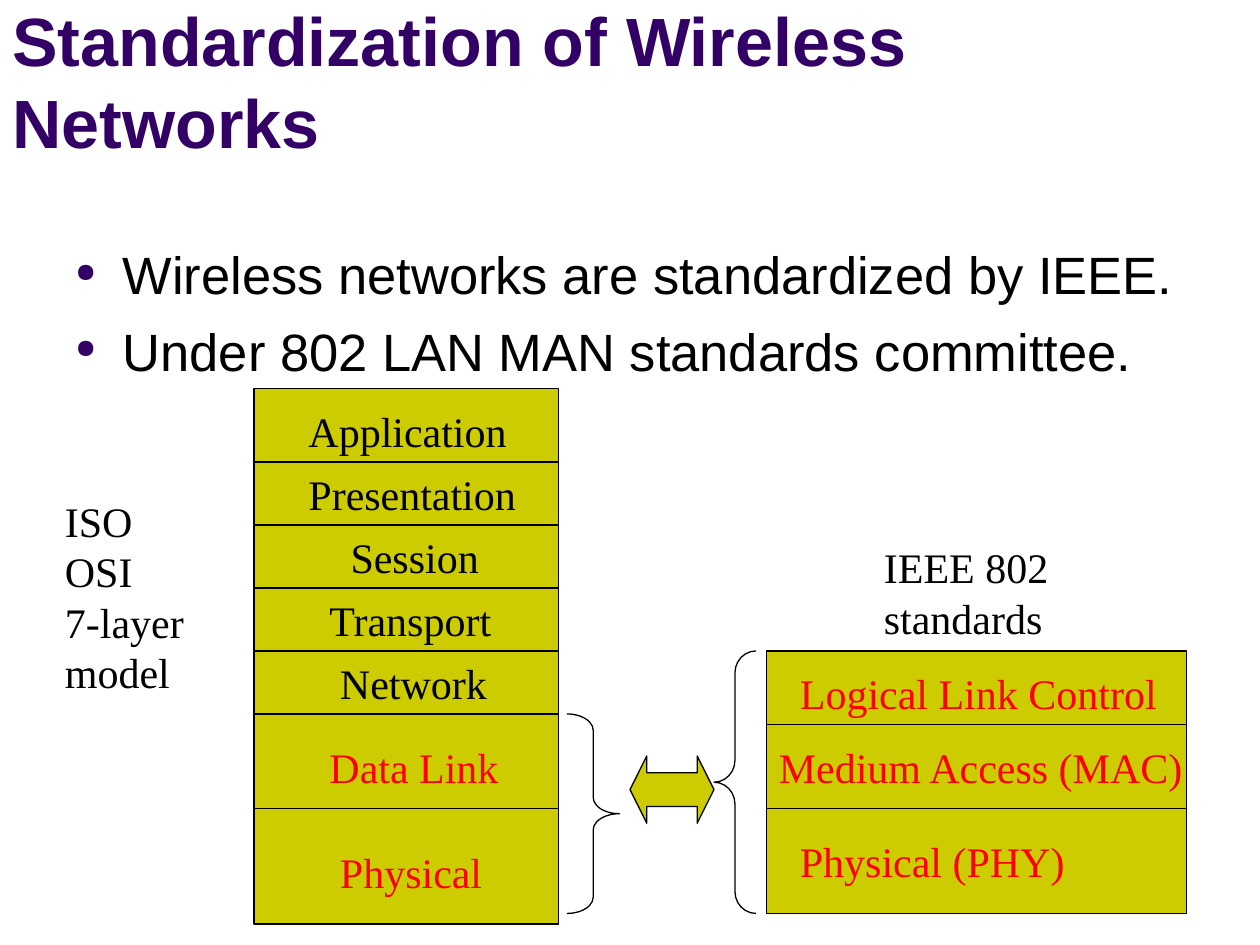
"""Build the slide that maps the seven OSI layers to the IEEE 802 standards."""
import pptx
import pptx.util
import pptx.dml.color
import pptx.enum.shapes
import pptx.enum.text
import pptx.oxml
import pptx.oxml.ns
from lxml import etree

PX = 7620
KIND = pptx.enum.shapes.MSO_SHAPE
SERIF, SANS = "Times New Roman", "Arial"
BLACK, RED, GOLD, PLUM = "000000", "FF0000", "CCCC00", "330066"


def color(code):
    return pptx.dml.color.RGBColor.from_string(code)


def write(box, lines, style, gap=0, bullet=False):
    frame = shapes.add_textbox(*[n * PX for n in box]).text_frame
    frame.word_wrap = True
    frame.auto_size = pptx.enum.text.MSO_AUTO_SIZE.NONE
    for i, line in enumerate(lines):
        para = frame.add_paragraph() if i else frame.paragraphs[0]
        para.space_before = pptx.util.Pt(gap if i else 0)
        if bullet:
            props = para._p.get_or_add_pPr()
            props.set("marL", str(45 * PX))
            props.set("indent", str(-45 * PX))
            hue = etree.SubElement(props, pptx.oxml.ns.qn("a:buClr"))
            etree.SubElement(hue, pptx.oxml.ns.qn("a:srgbClr"), val=PLUM)
            etree.SubElement(props, pptx.oxml.ns.qn("a:buSzPct"), val="50000")
            etree.SubElement(props, pptx.oxml.ns.qn("a:buChar"), char="●")
        run = para.add_run()
        run.text = line
        for key, value in style.items():
            if key == "color":
                run.font.color.rgb = color(value)
            else:
                setattr(run.font, key, value)
    return frame


deck = pptx.Presentation()
deck.slide_width, deck.slide_height = 1200 * PX, 900 * PX
shapes = deck.slides.add_slide(deck.slide_layouts[6]).shapes

head = {"name": SANS, "size": pptx.util.Pt(39), "bold": True, "color": PLUM}
body = {"name": SANS, "size": pptx.util.Pt(30), "color": BLACK}
label = {"name": SERIF, "size": pptx.util.Pt(24), "color": BLACK}
hot = {**label, "color": RED}

title = write((0, 16, 1180, 144), ["Standardization of Wireless Networks"],
              head)
title.vertical_anchor = pptx.enum.text.MSO_ANCHOR.BOTTOM
write((60, 225, 1080, 578),
      ["Wireless networks are standardized by IEEE.",
       "Under 802 LAN MAN standards committee."],
      body, gap=7.5, bullet=True)

figures = [
    (KIND.RECTANGLE, (242, 370, 290, 510), GOLD, []),
    (KIND.RECTANGLE, (730, 620, 400, 250), GOLD, []),
    (KIND.RIGHT_BRACE, (540, 680, 50, 190), None, [0.31, 0.5]),
    (KIND.LEFT_BRACE, (680, 620, 40, 250), None, [0.52, 0.5]),
    (KIND.LEFT_RIGHT_ARROW, (600, 720, 80, 64), GOLD, [0.5, 0.25]),
]
for kind, box, fill, bends in figures:
    shape = shapes.add_shape(kind, *[n * PX for n in box])
    shape.shadow.inherit = False
    if fill:
        shape.fill.solid()
        shape.fill.fore_color.rgb = color(fill)
    else:
        shape.fill.background()
    shape.line.color.rgb = color(BLACK)
    shape.line.width = pptx.util.Pt(0.75)
    for i, bend in enumerate(bends):
        shape.adjustments[i] = bend

rules = [
    (242, 532, [440, 500, 560, 620, 680, 770]),
    (730, 1130, [690, 770]),
]
for left, right, tops in rules:
    for top in tops:
        rule = shapes.add_connector(
            pptx.enum.shapes.MSO_CONNECTOR.STRAIGHT,
            left * PX, top * PX, right * PX, top * PX)
        rule.line.color.rgb = color(BLACK)
        rule.line.width = pptx.util.Pt(0.75)
        etree.SubElement(rule._element.spPr, pptx.oxml.ns.qn("a:effectLst"))

labels = [
    (282, 380, 230, "Application", label),
    (282, 440, 240, "Presentation", label),
    (322, 500, 165, "Session", label),
    (302, 560, 195, "Transport", label),
    (312, 620, 180, "Network", label),
    (302, 700, 200, "Data Link", hot),
    (312, 800, 180, "Physical", hot),
    (750, 630, 380, "Logical Link Control", hot),
    (730, 700, 430, "Medium Access (MAC)", hot),
    (750, 790, 290, "Physical (PHY)", hot),
]
for left, top, width, text, style in labels:
    write((left, top, width, 60), [text], style)

write((50, 466, 150, 204), ["ISO", "OSI", "7-layer", "model"], label)
write((830, 510, 200, 108), ["IEEE 802", "standards"], label)

deck.save("out.pptx")
